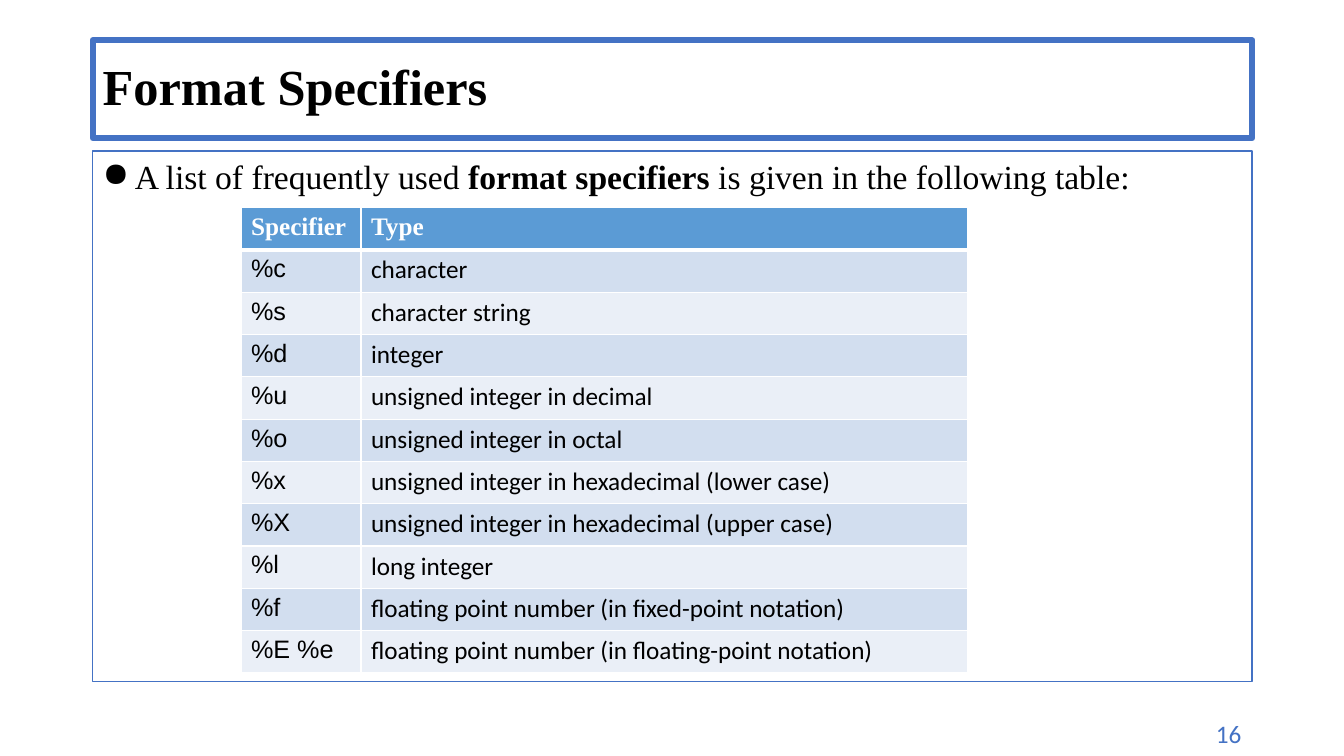
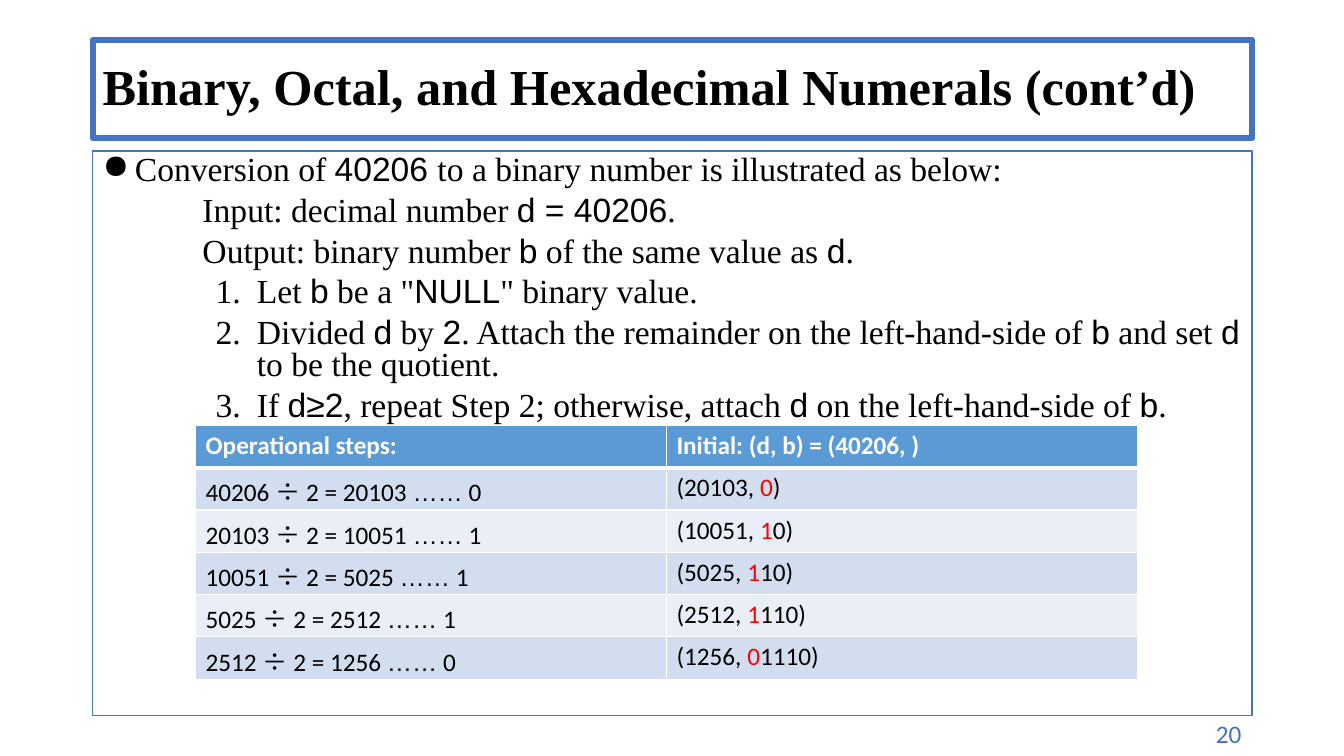
from lxml.etree import SubElement
from pptx import Presentation
from pptx.dml.color import RGBColor
from pptx.enum.shapes import MSO_SHAPE as SHAPE
from pptx.enum.text import MSO_ANCHOR as ANCHOR, PP_ALIGN as ALIGN
from pptx.oxml.ns import qn
from pptx.util import Inches, Pt

BLUE = RGBColor(0x44, 0x72, 0xC4)
HEADER = RGBColor(0x5B, 0x9B, 0xD5)
BANDS = RGBColor(0xD2, 0xDE, 0xEF), RGBColor(0xEA, 0xEF, 0xF7)
BLACK = RGBColor(0, 0, 0)
WHITE = RGBColor(0xFF, 0xFF, 0xFF)
RED = RGBColor(0xFF, 0, 0)
SERIF, SANS, MONO, CJK = "Times New Roman", "Calibri", "Arial", "Noto Sans CJK SC"
LEFT, WIDTH = 0.92, 11.5
BULLET = 0.32, -0.32, "buChar", {"char": "●"}
PLAIN = 0.99, 0, "buNone", {}
NUMBER = 1.53, -0.41, "buAutoNum", {"type": "arabicPeriod"}


class Deck:
    """Lecture slides with a framed title, a framed body and banded tables."""

    def __init__(self):
        self.prs = Presentation()
        self.prs.slide_width, self.prs.slide_height = Inches(13.33), Inches(7.5)
        self.s = None

    def slide(self, title, number):
        self.s = self.prs.slides.add_slide(self.prs.slide_layouts[6])
        sp = self.s.shapes.add_textbox(Inches(10.84), Inches(7.08), Inches(1.57), Inches(0.4))
        sp.text_frame.word_wrap = True
        p = sp.text_frame.paragraphs[0]
        p.alignment = ALIGN.RIGHT
        self.run(p, str(number), 18, SANS, BLUE)
        tf = self.frame(0.4, 0.97, 4.5, ANCHOR.MIDDLE)
        p = tf.paragraphs[0]
        p.alignment, p.line_spacing = ALIGN.LEFT, 0.9
        self.run(p, title, 36, SERIF, bold=True)

    def frame(self, top, height, weight, anchor):
        sp = self.s.shapes.add_shape(
            SHAPE.RECTANGLE, Inches(LEFT), Inches(top), Inches(WIDTH), Inches(height))
        sp.shadow.inherit = False
        sp.fill.background()
        sp.line.color.rgb, sp.line.width = BLUE, Pt(weight)
        SubElement(sp.line._get_or_add_ln(), qn("a:round"))
        tf = sp.text_frame
        tf.word_wrap, tf.vertical_anchor = True, anchor
        return tf

    def run(self, p, text, size, font, color=BLACK, bold=False):
        r = p.add_run()
        r.text = text
        r.font.size, r.font.name, r.font.bold = Pt(size), font, bold
        r.font.color.rgb = color
        if font == CJK:
            SubElement(r._r.get_or_add_rPr(), qn("a:ea")).set("typeface", font)

    def body(self, height, items, accent, spacing=1.0):
        tf = self.frame(1.5, height, 1, ANCHOR.TOP)
        for i, (style, text) in enumerate(items):
            p = tf.add_paragraph() if i else tf.paragraphs[0]
            p.alignment, p.line_spacing, p.space_before = ALIGN.LEFT, spacing, Pt(6)
            margin, indent, mark, attrs = style
            pPr = p._p.get_or_add_pPr()
            pPr.set("marL", str(Inches(margin)))
            pPr.set("indent", str(Inches(indent)))
            SubElement(pPr, qn("a:" + mark), attrs)
            for j, part in enumerate(text.split("|")):
                self.run(p, part, 24, **(accent if j % 2 else {"font": SERIF}))

    def table(self, left, top, widths, header, rows, header_font):
        grid = [[[(text, header_font, WHITE, True)] for text in header]] + rows
        height = 0.4167
        height = round(height, 2)
        gf = self.s.shapes.add_table(
            len(grid), len(widths), Inches(left), Inches(top),
            Inches(sum(widths)), Inches(height * len(grid)))
        tbl = gf.table
        tbl.horz_banding = False
        for col, width in zip(tbl.columns, widths):
            col.width = Inches(width)
        for i, row in enumerate(grid):
            for j, runs in enumerate(row):
                cell = tbl.cell(i, j)
                self.borders(cell, 3 if i == 1 else 1, 1 if i else 3)
                cell.fill.solid()
                cell.fill.fore_color.rgb = BANDS[(i - 1) % 2] if i else HEADER
                p = cell.text_frame.paragraphs[0]
                for text, *style in runs:
                    self.run(p, text, 18, *style)

    def borders(self, cell, top, bottom):
        tcPr = cell._tc.get_or_add_tcPr()
        for side, weight in (("L", 1), ("R", 1), ("T", top), ("B", bottom)):
            ln = SubElement(tcPr, qn("a:ln" + side), {"w": str(Pt(weight))})
            fill = SubElement(ln, qn("a:solidFill"))
            SubElement(fill, qn("a:srgbClr")).set("val", str(WHITE))


def division_rows(d, count):
    rows, b = [], ""
    for _ in range(count):
        quotient, bit = divmod(d, 2)
        rows.append([
            [(f"{d} ", SANS), ("÷", CJK), (f" 2 = {quotient} ", SANS),
             ("……", MONO), (f" {bit}", SANS)],
            [(f"({quotient}, ", SANS), (str(bit), SANS, RED), (f"{b})", SANS)],
        ])
        d, b = quotient, f"{bit}{b}"
    return rows


def main():
    deck = Deck()

    deck.slide("Format Specifiers", 16)
    deck.body(5.26, [
        (BULLET, "A list of frequently used |format specifiers| is given in the following table:"),
    ], {"font": SERIF, "bold": True})
    specifiers = [
        ("%c", "character"),
        ("%s", "character string"),
        ("%d", "integer"),
        ("%u", "unsigned integer in decimal"),
        ("%o", "unsigned integer in octal"),
        ("%x", "unsigned integer in hexadecimal (lower case)"),
        ("%X", "unsigned integer in hexadecimal (upper case)"),
        ("%l", "long integer"),
        ("%f", "floating point number (in fixed-point notation)"),
        ("%E %e", "floating point number (in floating-point notation)"),
    ]
    deck.table(2.39, 2.06, (1.19, 6.02), ("Specifier", "Type"),
               [[[(code, MONO)], [(kind, SANS)]] for code, kind in specifiers], SERIF)

    deck.slide("Binary, Octal, and Hexadecimal Numerals (cont’d)", 20)
    deck.body(5.6, [
        (BULLET, "Conversion of |40206 |to a binary number is illustrated as below:"),
        (PLAIN, "Input: decimal number |d = 40206|."),
        (PLAIN, "Output: binary number |b| of the same value as |d|."),
        (NUMBER, 'Let |b| be a "|NULL|" binary value.'),
        (NUMBER, "Divided |d| by |2|. Attach the remainder on the left-hand-side of "
                 "|b| and set |d| to be the quotient."),
        (NUMBER, "If |d≥2|, repeat Step 2; otherwise, attach |d| on the left-hand-side of |b|."),
    ], {"font": MONO}, 0.8)
    deck.table(1.94, 4.22, (4.67, 4.67),
               ("Operational steps:", "Initial: (d, b) = (40206, )"),
               division_rows(40206, 5), SANS)

    deck.prs.save("out.pptx")


if __name__ == "__main__":
    main()
